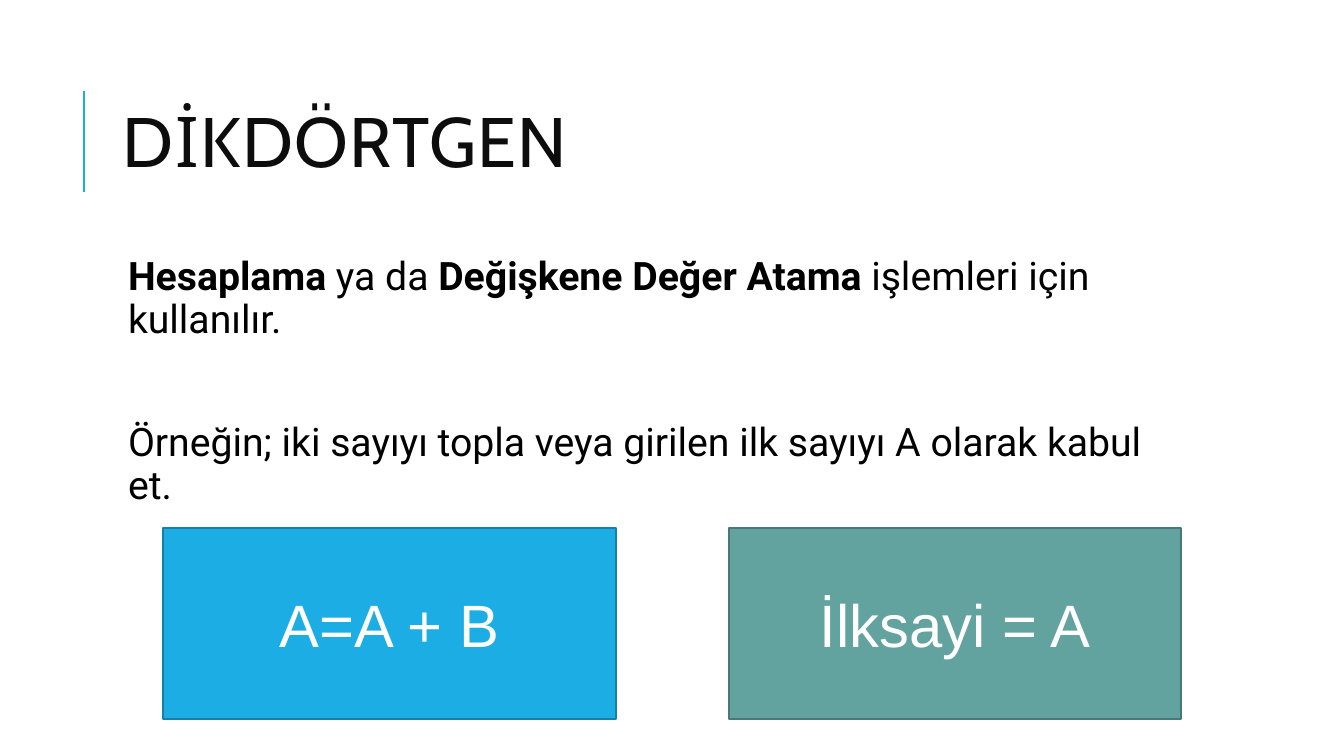
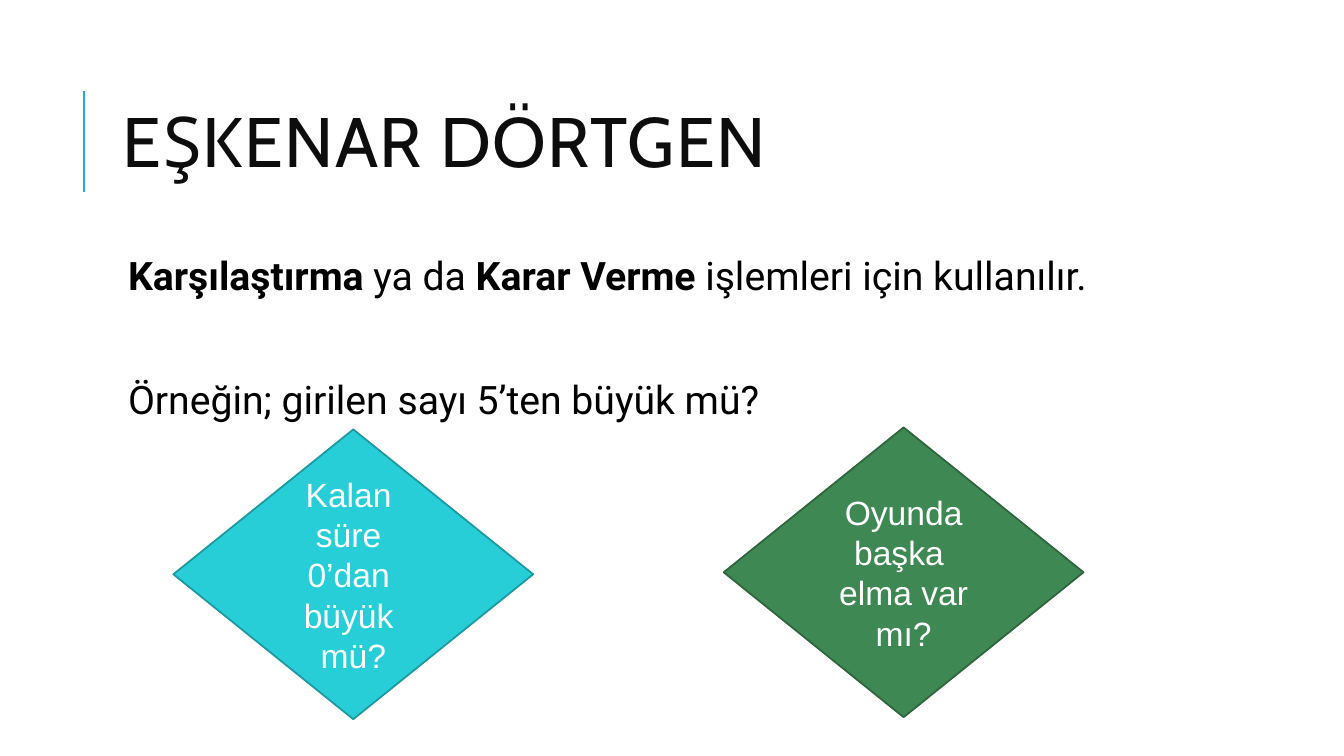
"""Build two slides on flowchart symbols: the rectangle and the rhombus."""
from dataclasses import dataclass

from pptx import Presentation
from pptx import util as u
from pptx.dml import color
from pptx.enum import shapes, text
from pptx.oxml import xmlchemy


@dataclass(frozen=True)
class Theme:
    """Colours, fonts and type sizes shared by the slides."""

    accent: str = "1CADE4"
    title_ink: str = "0D0D0D"
    body_ink: str = "000000"
    white: str = "FFFFFF"
    title_font: str = "Cabin"
    body_font: str = "Roboto"
    shape_font: str = "Arial"
    title_size: float = 50
    body_size: float = 28
    formula_size: float = 42.7
    question_size: float = 24


THEME = Theme()
LEFT, WIDTH = 80.64, 765.36
TITLE_BOX = (LEFT, 46.08, WIDTH, 118.08)
BODY_BOX = (LEFT, 180, WIDTH, 316.8)
RECTANGLE = shapes.MSO_SHAPE.RECTANGLE
DECISION = shapes.MSO_SHAPE.FLOWCHART_DECISION


def rgb(value):
    """Turn a hex string into a colour."""
    return color.RGBColor.from_string(value)


def place(shape, box):
    """Set left, top, width and height in points."""
    shape.left, shape.top, shape.width, shape.height = map(u.Pt, box)


def write(paragraph, words, font, size, ink, bold=False, spacing=None):
    """Add text to a paragraph, with a line break at each newline."""
    for index, line in enumerate(words.split("\n")):
        if index:
            paragraph.add_line_break()
        run = paragraph.add_run()
        run.text = line
        run.font.name, run.font.size, run.font.bold = font, u.Pt(size), bold
        run.font.color.rgb = rgb(ink)
        if spacing:
            run.font._element.set("spc", str(spacing * 100))


def prepare_layout(presentation):
    """Move the layout's placeholders and give it the accent rule."""
    layout = presentation.slide_layouts.get_by_name("Title and Content")
    title, body = list(layout.placeholders)[:2]
    place(title, TITLE_BOX)
    place(body, BODY_BOX)
    body.text_frame.margin_left = body.text_frame.margin_right = u.Pt(3.6)
    body.text_frame.margin_top = body.text_frame.margin_bottom = u.Pt(3.6)
    return layout


def add_rule(slide, layout):
    """Draw the accent rule and hand it to the layout for all slides."""
    rule = slide.shapes.add_connector(
        shapes.MSO_CONNECTOR.STRAIGHT, u.Pt(60), u.Pt(136.8), u.Pt(60), u.Pt(64.8))
    rule.line.color.rgb = rgb(THEME.accent)
    rule.line.width = u.Pt(1.5)
    rule.element.spPr.append(xmlchemy.OxmlElement("a:effectLst"))
    layout.shapes.element.append(rule.element)


def fill_title(slide, words):
    """Write the slide title."""
    frame = slide.shapes.title.text_frame
    frame.vertical_anchor = text.MSO_ANCHOR.MIDDLE
    frame.auto_size = text.MSO_AUTO_SIZE.NONE
    paragraph = frame.paragraphs[0]
    paragraph.alignment = text.PP_ALIGN.LEFT
    paragraph.line_spacing = 0.8
    write(paragraph, words, font=THEME.title_font, size=THEME.title_size,
          ink=THEME.title_ink, spacing=1)


def fill_body(slide, paragraphs):
    """Write body paragraphs, each a list of (text, bold) pairs."""
    frame = slide.placeholders[1].text_frame
    frame.auto_size = text.MSO_AUTO_SIZE.NONE
    for index, parts in enumerate(paragraphs):
        paragraph = frame.add_paragraph() if index else frame.paragraphs[0]
        paragraph.line_spacing = 0.9
        paragraph.space_before = u.Pt(56 if index else 12)
        paragraph.space_after = u.Pt(2)
        properties = paragraph._p.get_or_add_pPr()
        properties.set("marL", str(u.Pt(7.2)))
        properties.set("indent", "0")
        properties.append(xmlchemy.OxmlElement("a:buNone"))
        for words, bold in parts:
            write(paragraph, words, font=THEME.body_font, size=THEME.body_size,
                  ink=THEME.body_ink, bold=bold)


def add_symbol(slide, kind, box, words, fill, outline, size):
    """Add a flowchart symbol with centred white text."""
    symbol = slide.shapes.add_shape(kind, *map(u.Pt, box))
    symbol.shadow.inherit = False
    symbol.fill.solid()
    symbol.fill.fore_color.rgb = rgb(fill)
    symbol.line.color.rgb = rgb(outline)
    symbol.line.width = u.Pt(1.25)
    frame = symbol.text_frame
    frame.word_wrap = True
    frame.vertical_anchor = text.MSO_ANCHOR.MIDDLE
    paragraph = frame.paragraphs[0]
    paragraph.alignment = text.PP_ALIGN.CENTER
    write(paragraph, words, font=THEME.shape_font, size=size, ink=THEME.white)


def add_slide(presentation, layout, title, body):
    """Add a slide with its title and body text."""
    slide = presentation.slides.add_slide(layout)
    fill_title(slide, title)
    fill_body(slide, body)
    return slide


def main():
    """Build and save the presentation."""
    presentation = Presentation()
    presentation.slide_width, presentation.slide_height = u.Pt(960), u.Pt(540)
    layout = prepare_layout(presentation)

    rectangle = add_slide(presentation, layout, "DİKDÖRTGEN", [
        [("Hesaplama", True), (" ya da ", False), ("Değişkene Değer Atama", True),
         (" işlemleri için \nkullanılır.", False)],
        [("Örneğin; iki sayıyı topla veya girilen ilk sayıyı A olarak kabul et.", False)],
    ])
    add_rule(rectangle, layout)
    for left, words, fill, outline in (
            (116.64, "A=A + B", THEME.accent, "1580A9"),
            (520.56, "İlksayi = A", "62A39F", "497976")):
        add_symbol(rectangle, RECTANGLE, (left, 377.28, 323.28, 136.08),
                   words, fill, outline, THEME.formula_size)

    rhombus = add_slide(presentation, layout, "EŞKENAR DÖRTGEN", [
        [("Karşılaştırma", True), (" ya da ", False), ("Karar Verme ", True),
         ("işlemleri için kullanılır.", False)],
        [("Örneğin; girilen sayı 5’ten büyük mü?", False)],
    ])
    for left, top, words, fill, outline in (
            (123.84, 306.72, "Kalan \nsüre \n0’dan \nbüyük \nmü?", "27CED7", "1D989F"),
            (516.96, 305.28, "Oyunda başka \nelma var mı?", "3E8853", "2E653D")):
        add_symbol(rhombus, DECISION, (left, top, 257.04, 207),
                   words, fill, outline, THEME.question_size)

    presentation.save("out.pptx")


if __name__ == "__main__":
    main()
